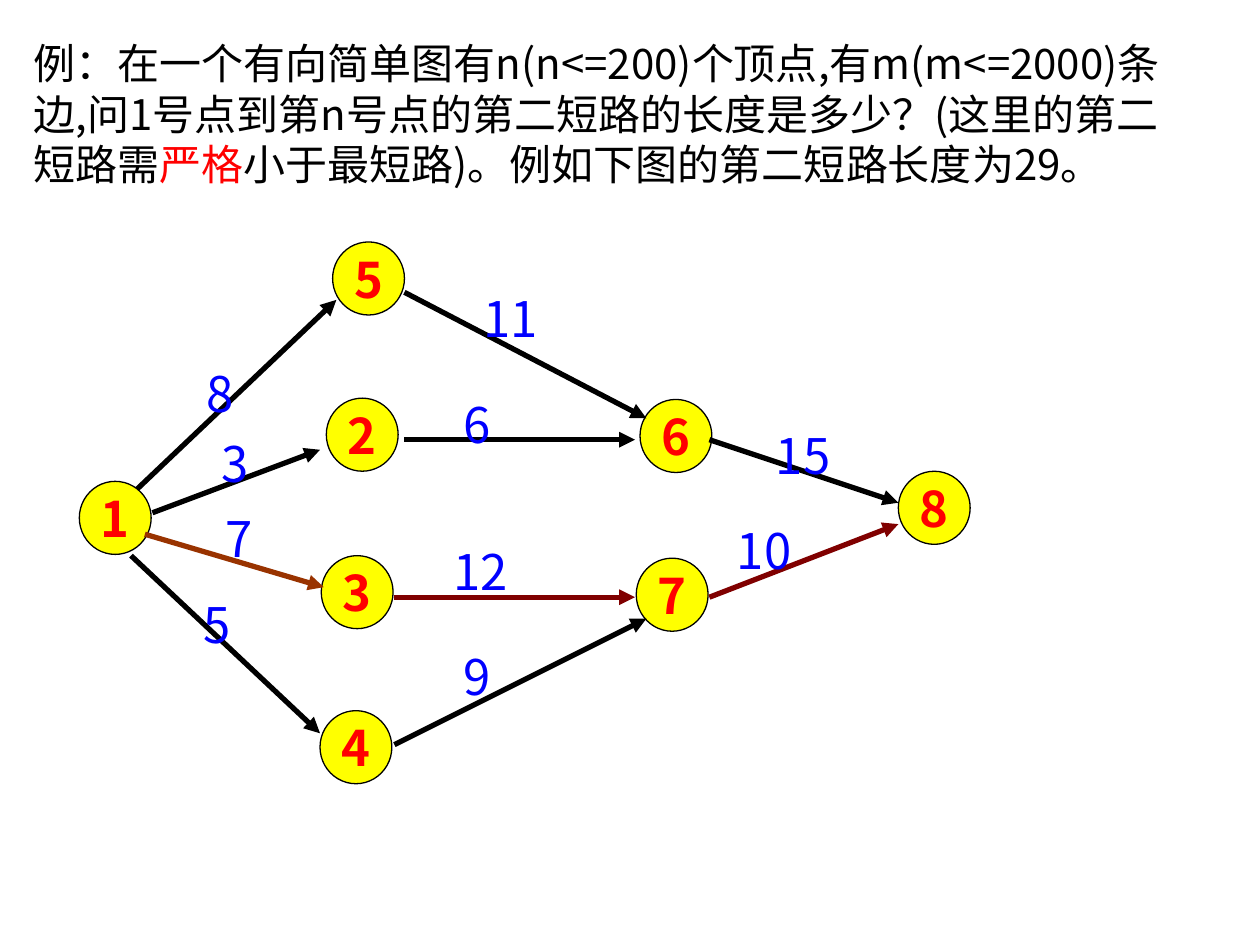
from lxml import etree
from pptx import Presentation
from pptx.dml.color import RGBColor
from pptx.enum.shapes import MSO_CONNECTOR, MSO_SHAPE
from pptx.enum.text import MSO_ANCHOR, MSO_AUTO_SIZE, PP_ALIGN
from pptx.oxml.ns import qn
from pptx.util import Inches, Pt

STRAIGHT = MSO_CONNECTOR.STRAIGHT
OVAL = MSO_SHAPE.OVAL
MIDDLE = MSO_ANCHOR.MIDDLE
GROW = MSO_AUTO_SIZE.SHAPE_TO_FIT_TEXT
CENTER = PP_ALIGN.CENTER

BLACK = RGBColor(0x00, 0x00, 0x00)
RED = RGBColor(0xFF, 0x00, 0x00)
YELLOW = RGBColor(0xFF, 0xFF, 0x00)
BLUE = RGBColor(0x00, 0x00, 0xFF)
BROWN = RGBColor(0x99, 0x33, 0x00)
MAROON = RGBColor(0x80, 0x00, 0x00)
FONT = "Noto Sans CJK JP"
LEADING = 1.2

# Content: the problem, the vertices and the weighted edges
PROBLEM = [
    ("例：在一个有向简单图有n(n<=200)个顶点,有m(m<=2000)条边,"
     "问1号点到第n号点的第二短路的长度是多少？(这里的第二短路需", BLACK),
    ("严格", RED),
    ("小于最短路)。例如下图的第二短路长度为29。", BLACK),
]
# name, left, top
NODES = [
    ("1", 0.63, 3.82), ("5", 2.64, 1.92), ("2", 2.59, 3.16),
    ("3", 2.55, 4.41), ("4", 2.54, 5.64), ("6", 5.08, 3.17),
    ("7", 5.05, 4.43), ("8", 7.13, 3.74),
]
# start, end, colour, weight, left and top of the weight
EDGES = [
    ((1.09, 3.88), (2.67, 2.38), BLACK, "8", (1.54, 2.84)),
    ((1.21, 4.07), (2.54, 3.57), BLACK, "3", (1.66, 3.39)),
    ((1.15, 4.24), (2.57, 4.66), BROWN, "7", (1.69, 3.99)),
    ((1.04, 4.41), (2.54, 5.82), BLACK, "5", (1.52, 4.67)),
    ((3.21, 2.32), (5.13, 3.32), BLACK, "11", (3.74, 2.24)),
    ((3.21, 3.49), (5.04, 3.49), BLACK, "6", (3.58, 3.08)),
    ((3.13, 4.74), (5.04, 4.74), MAROON, "12", (3.50, 4.25)),
    ((3.13, 5.91), (5.13, 4.91), BLACK, "9", (3.58, 5.08)),
    ((5.63, 3.49), (7.13, 3.99), BLACK, "15", (6.06, 3.33)),
    ((5.63, 4.74), (7.13, 4.16), MAROON, "10", (5.75, 4.08)),
]


def style(para, size, color=None, bold=False):
    font = para.font
    font.size, font.name, font.bold = Pt(size), FONT, bold
    if color is not None:
        font.color.rgb = color
    props = para._p.pPr.find(qn("a:defRPr"))
    etree.SubElement(props, qn("a:ea")).set("typeface", FONT)


def add_text(shapes, left, top, width, height, runs, size):
    box = shapes.add_textbox(*map(Inches, (left, top, width, height)))
    frame = box.text_frame
    frame.word_wrap = True
    frame.auto_size = GROW
    para = frame.paragraphs[0]
    para.line_spacing = Pt(size * LEADING)
    for text, color in runs:
        run = para.add_run()
        run.text = text
        run.font.color.rgb = color
    style(para, size)


def add_node(shapes, name, left, top):
    node = shapes.add_shape(OVAL, *map(Inches, (left, top, 0.57, 0.58)))
    node.shadow.inherit = False
    node.fill.solid()
    node.fill.fore_color.rgb = YELLOW
    node.line.color.rgb = BLACK
    node.line.width = Pt(0.75)
    frame = node.text_frame
    frame.word_wrap = False
    frame.vertical_anchor = MIDDLE
    para = frame.paragraphs[0]
    para.text = name
    para.alignment = CENTER
    style(para, 28, RED, True)


def add_edge(shapes, start, end, color):
    edge = shapes.add_connector(STRAIGHT, *map(Inches, start + end))
    edge.line.color.rgb = color
    edge.line.width = Pt(3)
    line = edge.line._get_or_add_ln()
    etree.SubElement(line, qn("a:tailEnd")).set("type", "triangle")
    etree.SubElement(edge._element.spPr, qn("a:effectLst"))


def main():
    deck = Presentation()
    deck.slide_width, deck.slide_height = Inches(10), Inches(7.5)
    slide = deck.slides.add_slide(deck.slide_layouts[6])

    # Problem statement
    add_text(slide.shapes, 0.17, 0.25, 9.42, 1.7, PROBLEM, 24)

    # Graph: vertices, then arrows, then weights on top
    graph = slide.shapes.add_group_shape().shapes
    for node in NODES:
        add_node(graph, *node)
    for start, end, color, _, _ in EDGES:
        add_edge(graph, start, end, color)
    for _, _, _, weight, (left, top) in EDGES:
        add_text(graph, left, top, 0.68, 0.57, [(weight, BLUE)], 28)

    deck.save("out.pptx")


if __name__ == "__main__":
    main()
